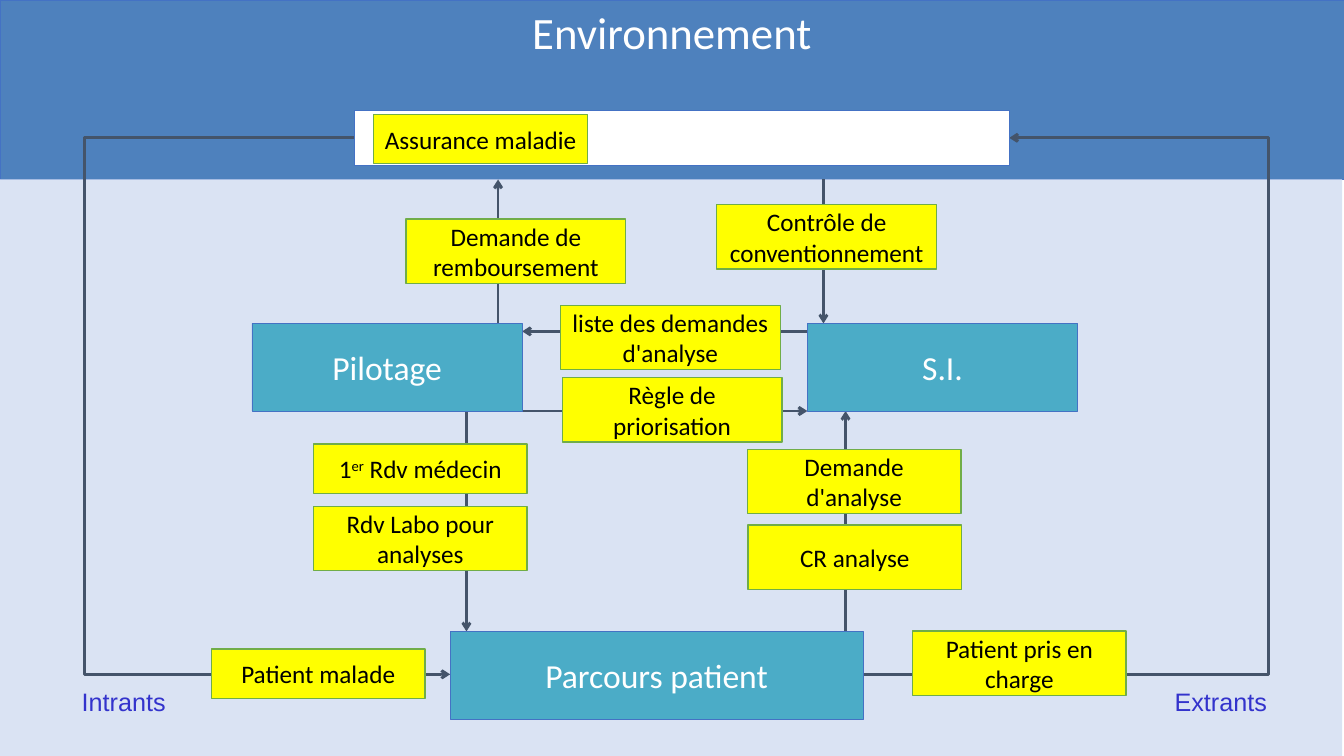
from lxml import etree
from pptx import Presentation
from pptx.dml.color import RGBColor
from pptx.enum import shapes, text
from pptx.oxml.ns import qn
from pptx.util import Pt

THEME = {
    "font": "Calibri", "label_font": "Arial",
    "title": 32, "process": 24, "flow": 18,
    "white": "FFFFFF", "black": "000000", "label": "3333CC",
    "system": "DAE3F3", "header": "4E81BD", "header_line": "4472C4",
    "teal": "4BACC7", "yellow": "FFFF00", "green": "70AD47", "arrow": "44546A",
}


def color(name):
    return RGBColor.from_string(THEME[name])


def format_box(box, words="", fill=None, line=None, weight=0.5, size="flow",
               ink="black", font="font", anchor=text.MSO_ANCHOR.MIDDLE):
    """Fill and outline a box, then write and format its centred text."""
    if fill:
        box.fill.solid()
        box.fill.fore_color.rgb = color(fill)
    if line:
        box.line.color.rgb = color(line)
        box.line.width = Pt(weight)
    else:
        box.line.fill.background()
    frame = box.text_frame
    frame.word_wrap = True
    frame.auto_size = text.MSO_AUTO_SIZE.NONE
    frame.vertical_anchor = anchor
    paragraph = frame.paragraphs[0]
    paragraph.alignment = text.PP_ALIGN.CENTER
    if words:
        paragraph.text = words
        for run in paragraph.runs:
            run.font.size = Pt(THEME[size])
            run.font.name = THEME[font]
            run.font.color.rgb = color(ink)


def add_rect(x, y, w, h, **look):
    rect = slide.shapes.add_shape(shapes.MSO_SHAPE.RECTANGLE, Pt(x), Pt(y), Pt(w), Pt(h))
    rect.shadow.inherit = False
    format_box(rect, **look)
    return rect


deck = Presentation()
deck.slide_width, deck.slide_height = Pt(960), Pt(540)
slide = deck.slides.add_slide(deck.slide_layouts[5])

# Environment header and system area
header_h = 128.2
environment = slide.shapes.title
environment.left, environment.top = Pt(0), Pt(0)
environment.width, environment.height = Pt(960), Pt(header_h)
format_box(environment, "Environnement", fill="header", line="header_line",
           size="title", ink="white", anchor=text.MSO_ANCHOR.TOP)
add_rect(-1.4, header_h, 960, 540 - header_h, fill="system")

# Edges shared by the boxes and the arrows
process_w, process_h = 193, 62.6
pilotage_x, si_x, middle_y = 180, 576.7, 231
pilotage_right, middle_bottom = pilotage_x + process_w, middle_y + process_h
patient_x, patient_y, patient_w = 321.6, 451, 294.8
patient_right, patient_mid = patient_x + patient_w, 481.7
insurer_x, insurer_y, insurer_w, insurer_h = 253.4, 78.8, 467.5, 39.4
insurer_right, insurer_mid = insurer_x + insurer_w, insurer_y + insurer_h / 2

# Arrows: start, end and, for the outer loops, the x of the vertical stretch
arrows = [
    (355.8, middle_y, 355.8, header_h, None),
    (588.2, header_h, 588.2, middle_y, None),
    (333.2, middle_bottom, 333.2, patient_y, None),
    (604, patient_y, 604, middle_bottom, None),
    (si_x, 236.7, pilotage_right, 236.7, None),
    (pilotage_right, middle_bottom, si_x, middle_bottom, None),
    (insurer_x, insurer_mid, patient_x, patient_mid, 60.2),
    (patient_right, patient_mid, insurer_right, insurer_mid, 906.2),
]
for x1, y1, x2, y2, loop_x in arrows:
    kind = shapes.MSO_CONNECTOR.ELBOW if loop_x else shapes.MSO_CONNECTOR.STRAIGHT
    arrow = slide.shapes.add_connector(kind, Pt(x1), Pt(y1), Pt(x2), Pt(y2))
    arrow.line.color.rgb = color("arrow")
    arrow.line.width = Pt(2)
    properties = arrow._element.spPr
    etree.SubElement(properties.find(qn("a:ln")), qn("a:tailEnd"), type="arrow")
    etree.SubElement(properties, qn("a:effectLst"))
    if loop_x:
        geometry = properties.find(qn("a:prstGeom"))
        guides = geometry.find(qn("a:avLst"))
        if guides is None:
            guides = etree.SubElement(geometry, qn("a:avLst"))
        bend = round((loop_x - x1) / (x2 - x1) * 100000)
        etree.SubElement(guides, qn("a:gd"), name="adj1", fmla=f"val {bend}")

# Processes
for x, y, w, process in [
    (si_x, middle_y, process_w, "S.I."),
    (pilotage_x, middle_y, process_w, "Pilotage"),
    (patient_x, patient_y, patient_w, "Parcours patient"),
]:
    add_rect(x, y, w, process_h, words=process, fill="teal", line="header_line",
             size="process", ink="white")

# Inputs and outputs
for x, side in [(34.4, "Intrants"), (818, "Extrants")]:
    label = slide.shapes.add_textbox(Pt(x), Pt(patient_mid), Pt(108), Pt(39.4))
    format_box(label, side, ink="label", font="label_font")

# Insurer slot in the header
add_rect(insurer_x, insurer_y, insurer_w, insurer_h, fill="white", line="header_line")

# Flows carried by the arrows
narrow, wide, low, high = 152.6, 157, 35.2, 46
flows = [
    (267, 81.8, narrow, low, "Assurance maladie"),
    (151, 463.6, narrow, low, "Patient malade"),
    (651.8, 450.6, narrow, high, "Patient pris en charge"),
    (223.9, 317.2, narrow, low, "1er Rdv médecin"),
    (223.9, 361.6, narrow, high, "Rdv Labo pour analyses"),
    (533.8, 321, narrow, high, "Demande d'analyse"),
    (534.3, 375, narrow, high, "CR analyse"),
    (512, 146.2, wide, high, "Contrôle de conventionnement"),
    (290, 156.4, wide, high, "Demande de remboursement"),
    (400.3, 218, wide, high, "liste des demandes d'analyse"),
    (401.6, 269.8, wide, high, "Règle de priorisation"),
]
for x, y, w, h, flow in flows:
    flow_box = add_rect(x, y, w, h, words=flow, fill="yellow", line="green", weight=1)
    # Raise the ordinal ending
    if flow.startswith("1er"):
        ordinal = flow_box.text_frame.paragraphs[0]
        ordinal.runs[0].text = "1"
        for part in ("er", flow[3:]):
            run = ordinal.add_run()
            run.text = part
            run.font.size = Pt(THEME["flow"])
            run.font.name = THEME["font"]
            run.font.color.rgb = color("black")
        ordinal.runs[1].font._element.set("baseline", "30000")

deck.save("out.pptx")
